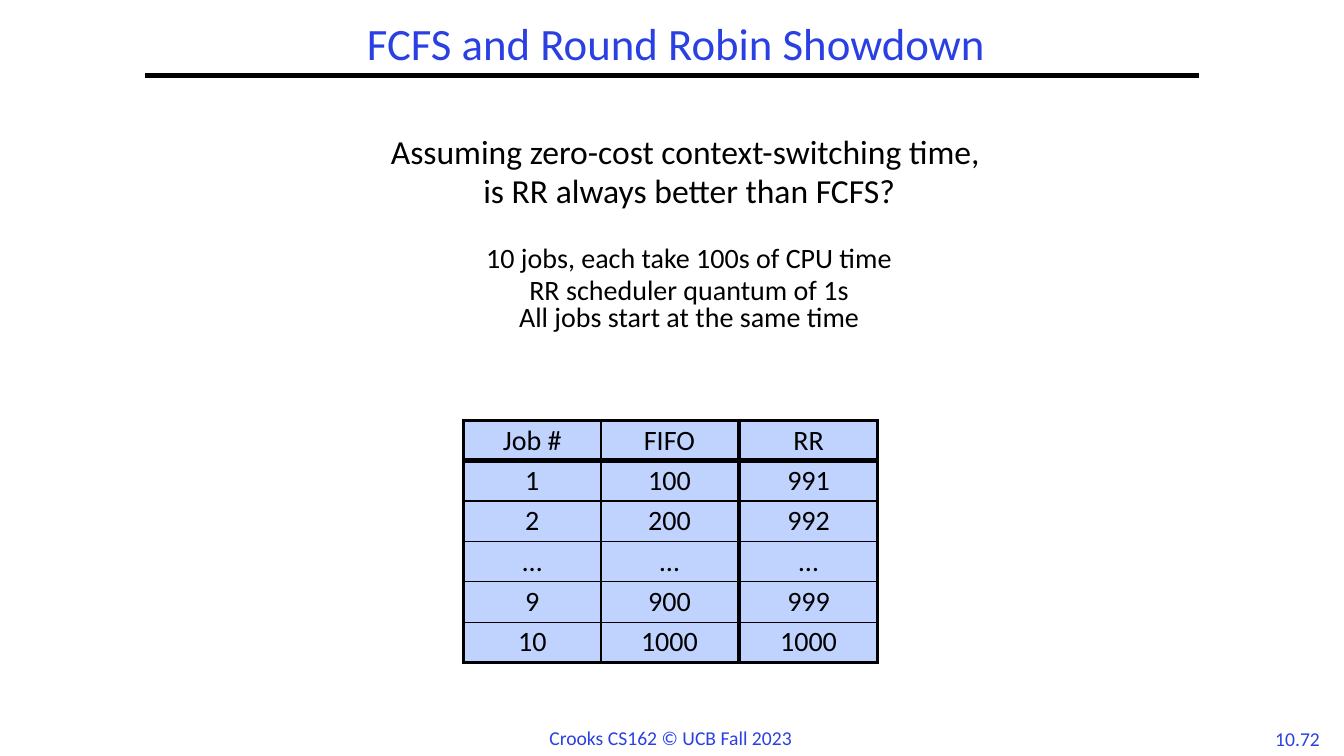
import pptx
import pptx.dml.color
import pptx.enum.shapes
import pptx.enum.text
import pptx.oxml.ns
import pptx.util
from lxml import etree

Inches = pptx.util.Inches
Pt = pptx.util.Pt
CENTER = pptx.enum.text.PP_ALIGN.CENTER
LEFT = pptx.enum.text.PP_ALIGN.LEFT
MIDDLE = pptx.enum.text.MSO_ANCHOR.MIDDLE
COLORS = {"blue": "2A40E2", "black": "000000", "cell": "C0D2FE"}


def add_run(paragraph, text, size, color):
    run = paragraph.add_run()
    run.text = text
    run.font.name = "Calibri"
    run.font.size = Pt(size)
    run.font.bold = False
    run.font.color.rgb = pptx.dml.color.RGBColor.from_string(COLORS[color])


def add_border(cell, side, width):
    line = etree.SubElement(cell._tc.get_or_add_tcPr(),
                            pptx.oxml.ns.qn("a:" + side), w=str(Pt(width)))
    fill = etree.SubElement(line, pptx.oxml.ns.qn("a:solidFill"))
    etree.SubElement(fill, pptx.oxml.ns.qn("a:srgbClr"), val=COLORS["black"])


presentation = pptx.Presentation()
presentation.slide_width = Inches(13.33)
presentation.slide_height = Inches(7.5)
slide = presentation.slides.add_slide(presentation.slide_layouts[5])

# Title and the rule below it
title = slide.shapes.title
title.left, title.top = Inches(1.83), Inches(0.17)
title.width, title.height = Inches(9.75), Inches(0.58)
title.text_frame.vertical_anchor = MIDDLE
title.text_frame.auto_size = pptx.enum.text.MSO_AUTO_SIZE.NONE
paragraph = title.text_frame.paragraphs[0]
paragraph.alignment = CENTER
paragraph.line_spacing = 0.9
add_run(paragraph, "FCFS and Round Robin Showdown", 32, "blue")

rule = slide.shapes.add_connector(
    pptx.enum.shapes.MSO_CONNECTOR.STRAIGHT,
    Inches(1.44), Inches(0.75), Inches(11.89), Inches(0.75))
rule.line.width = Pt(3)
rule.line.color.rgb = pptx.dml.color.RGBColor.from_string(COLORS["black"])
etree.SubElement(rule._element.spPr, pptx.oxml.ns.qn("a:effectLst"))

# Page number and footer
for text, left, top, width, alignment in [
        ("10.72", 12.53, 7.16, 0.68, CENTER),
        ("Crooks CS162 © UCB Fall 2023", 5.35, 7.15, 2.63, LEFT)]:
    box = slide.shapes.add_textbox(Inches(left), Inches(top), Inches(width), Inches(0.34))
    box.text_frame.word_wrap = False
    paragraph = box.text_frame.paragraphs[0]
    paragraph.alignment = alignment
    add_run(paragraph, text, 14, "blue")

# Question and assumptions: lines, size, space before
body = slide.shapes.add_textbox(Inches(0.92), Inches(1.33), Inches(11.83), Inches(6.17))
body.text_frame.word_wrap = True
for index, (lines, size, space) in enumerate([
        (["Assuming zero-cost context-switching time, "], 24, 0),
        (["is RR always better than FCFS?"], 24, 4.6),
        (["10 jobs, each take 100s of CPU time"], 20, 26.7),
        (["RR scheduler quantum of 1s", "All jobs start at the same time"], 20, 3.6)]):
    paragraph = body.text_frame.paragraphs[0] if index == 0 else body.text_frame.add_paragraph()
    paragraph.alignment = CENTER
    paragraph.line_spacing = 0.8
    paragraph.space_before = Pt(space)
    for number, line in enumerate(lines):
        if number:
            paragraph.add_line_break()
        add_run(paragraph, line, size, "black")

# Completion times: the two-column table lies over the three-column one
ROWS = [("Job #", "FIFO", "RR"), ("1", "100", "991"), ("2", "200", "992"),
        ("…", "…", "…"), ("9", "900", "999"), ("10", "1000", "1000")]
COLUMN_WIDTH, ROW_HEIGHT = 1.36, 0.4
last_row = len(ROWS) - 1
for left, columns in [(4.62, 3), (4.6, 2)]:
    table = slide.shapes.add_table(
        len(ROWS), columns, Inches(left), Inches(4.17),
        Inches(COLUMN_WIDTH * columns), Inches(ROW_HEIGHT * len(ROWS))).table
    table.first_row = table.horz_banding = False
    for column in table.columns:
        column.width = Inches(COLUMN_WIDTH)
    for row_index, row in enumerate(ROWS):
        table.rows[row_index].height = Inches(ROW_HEIGHT)
        for column_index, text in enumerate(row[:columns]):
            cell = table.cell(row_index, column_index)
            cell.vertical_anchor = MIDDLE
            paragraph = cell.text_frame.paragraphs[0]
            paragraph.alignment = CENTER
            paragraph.line_spacing = 0.9
            add_run(paragraph, text, 20, "black")
            # Thick outer edges, heavy line under the header
            add_border(cell, "lnL", 2.25 if column_index == 0 else 1)
            add_border(cell, "lnR", 2.25 if column_index == 2 else 1)
            add_border(cell, "lnT", {0: 2.25, 1: 4.5}.get(row_index, 1))
            add_border(cell, "lnB", {0: 4.5, last_row: 2.25}.get(row_index, 1))
            cell.fill.solid()
            cell.fill.fore_color.rgb = pptx.dml.color.RGBColor.from_string(COLORS["cell"])

presentation.save("out.pptx")
